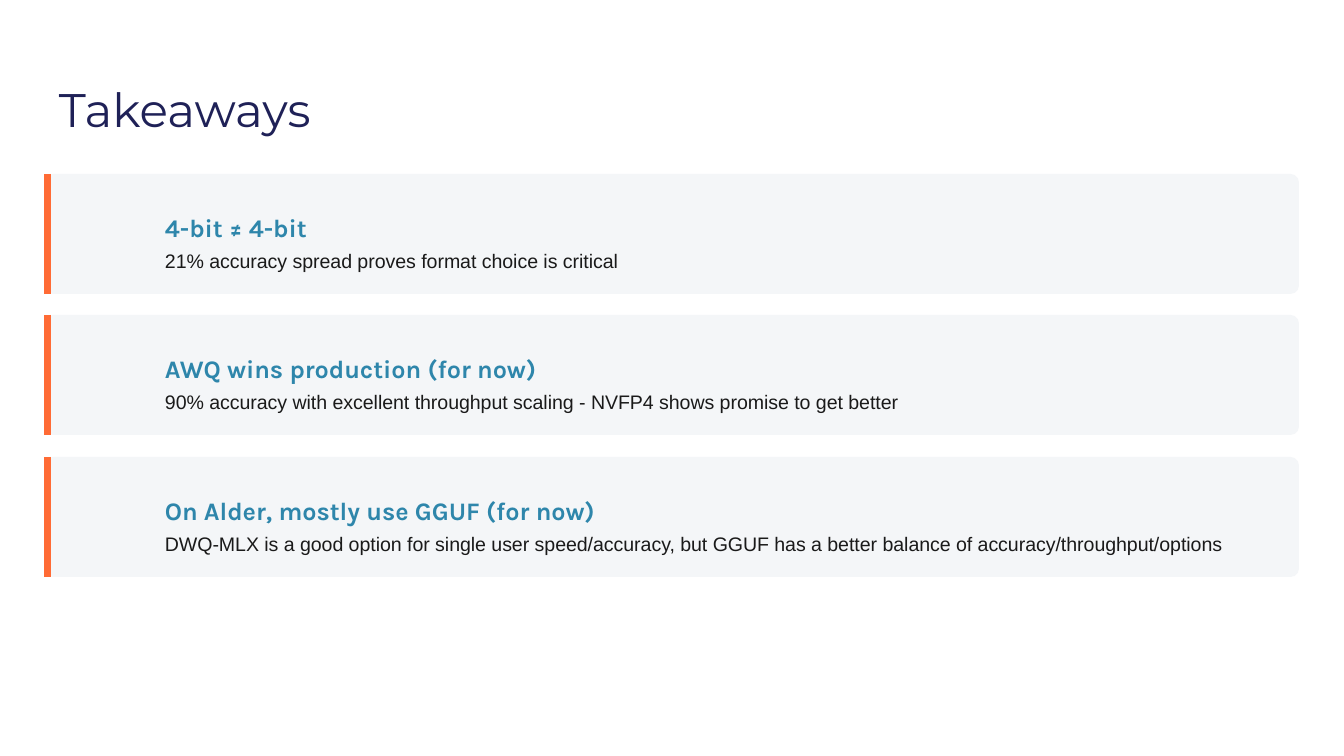
from pptx import Presentation
from pptx.dml.color import RGBColor as RGB
from pptx.enum.shapes import MSO_CONNECTOR as Conn, MSO_SHAPE as Shape
from pptx.enum.text import MSO_ANCHOR as Anchor, PP_ALIGN as Align
from pptx.oxml.ns import qn
from pptx.util import Pt
from lxml import etree

SCALE = 914400 / 134.4  # EMU in one px

NAVY = RGB(0x1F, 0x21, 0x57)
TEAL = RGB(0x2E, 0x86, 0xAB)
INK = RGB(0x1A, 0x1A, 0x1A)
PALE = RGB(0xF4, 0xF6, 0xF8)
ORANGE = RGB(0xFF, 0x6B, 0x35)


def px(*nums):
    return [round(n * SCALE) for n in nums]


class Deck:
    """Holds the style and the current slide."""

    def __init__(self, wide, high):
        self.prs = Presentation()
        self.prs.slide_width, self.prs.slide_height = px(wide, high)
        self.slide = self.prs.slides.add_slide(self.prs.slide_layouts[5])

    def fill_text(self, frame, words, font, size, color, bold=False, inset=0):
        frame.word_wrap = True
        frame.margin_left = frame.margin_right = inset
        frame.margin_top = frame.margin_bottom = inset
        para = frame.paragraphs[0]
        para.text = words
        para.alignment = Align.LEFT
        style = para.font
        style.name, style.size, style.bold = font, Pt(size), bold
        style.color.rgb = color
        return para

    def title(self, words, x, y, w, h):
        box = self.slide.shapes.title
        box.left, box.top, box.width, box.height = px(x, y, w, h)
        self.fill_text(box.text_frame, words, "Montserrat", 25.2, NAVY,
                       inset=px(13)[0])
        box.text_frame.vertical_anchor = Anchor.MIDDLE

    def text(self, words, x, y, w, h, font, size, color, space, bold=False):
        box = self.slide.shapes.add_textbox(*px(x, y, w, h))
        para = self.fill_text(box.text_frame, words, font, size, color, bold)
        para.line_spacing = space

    def panel(self, x, y, w, h):
        box = self.slide.shapes.add_shape(
            Shape.ROUNDED_RECTANGLE, *px(x, y, w, h))
        box.adjustments[0] = 0.07
        box.shadow.inherit = False
        box.fill.solid()
        box.fill.fore_color.rgb = PALE
        box.line.fill.background()

    def bar(self, x, y, h):
        line = self.slide.shapes.add_connector(
            Conn.STRAIGHT, *px(x, y, x, y + h))
        line.line.color.rgb = ORANGE
        line.line.width = Pt(3.75)
        etree.SubElement(line._element.spPr, qn("a:effectLst"))

    def card(self, y, head, body):
        self.panel(45, y, 1254, 120)
        self.bar(48, y, 120)
        self.text(head, 165, y + 21, 1136, 39, "Karla", 13.5, TEAL, 1.56, True)
        self.text(body, 165, y + 65, 1136, 28, "Arial", 10.5, INK, 1.43)


CARDS = [
    ("4-bit ≠ 4-bit",
     "21% accuracy spread proves format choice is critical"),
    ("AWQ wins production (for now)",
     "90% accuracy with excellent throughput scaling"
     " - NVFP4 shows promise to get better"),
    ("On Alder, mostly use GGUF (for now)",
     "DWQ-MLX is a good option for single user speed/accuracy,"
     " but GGUF has a better balance of accuracy/throughput/options"),
]


def main():
    deck = Deck(1344, 756)
    deck.title("Takeaways", 46, 66, 1253, 85)

    # Takeaway cards at an equal pitch
    for i, (head, body) in enumerate(CARDS):
        deck.card(174 + i * 283 // 2, head, body)

    deck.prs.save("out.pptx")


if __name__ == "__main__":
    main()
